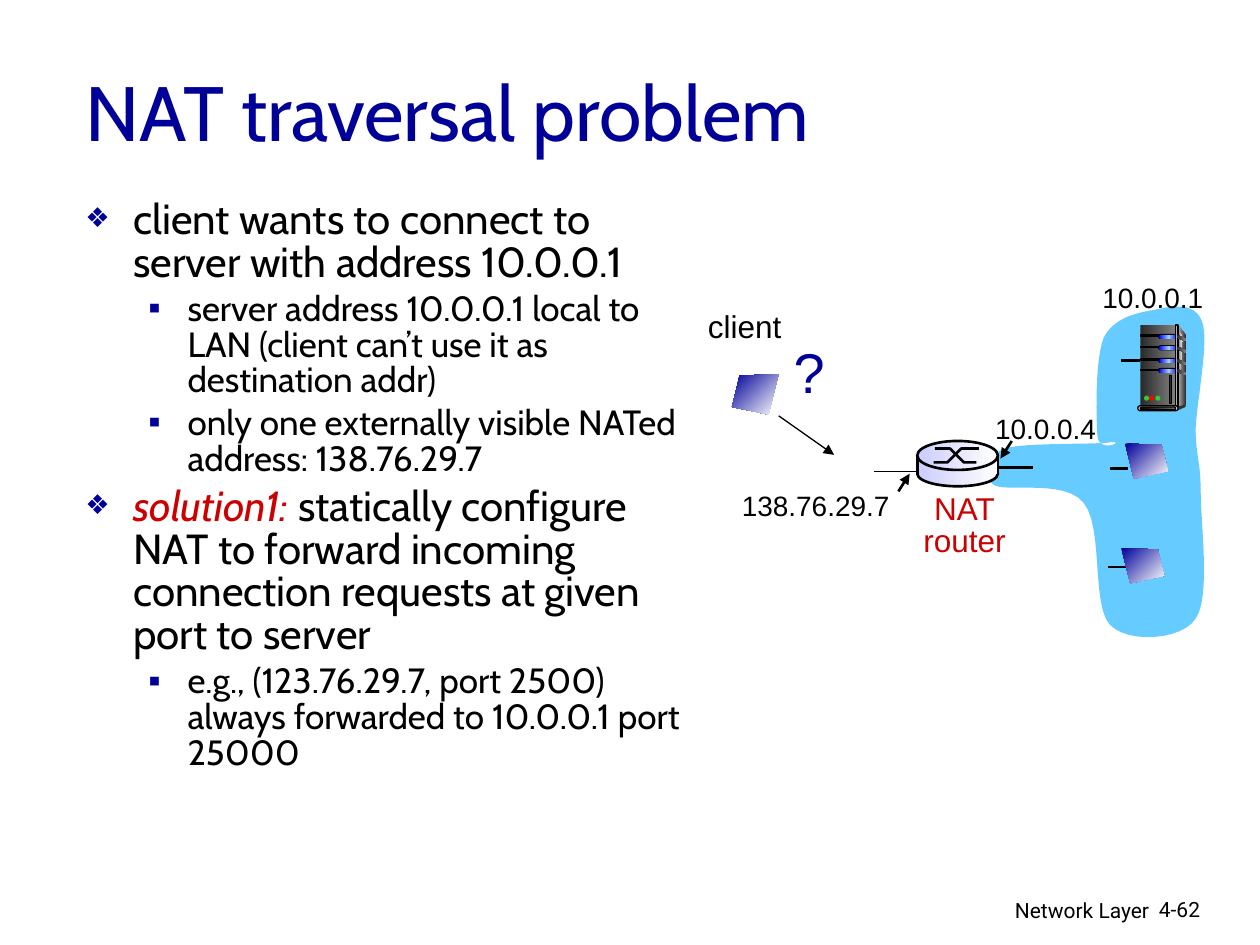
import pptx
import pptx.dml.color
import pptx.enum.shapes
import pptx.enum.text
import pptx.oxml
import pptx.oxml.ns
import pptx.util
import lxml.etree

COLUMNS, ROWS = 100, 75
BLACK, NAVY, RED, SKY = "000000", "000099", "CC0000", "66CCFF"
LILAC = ("CCCCFF", "FFFFFF")
SCREEN = (NAVY, "FFFFFF")
DARK_METAL = ("292929", "808080")
KINDS = pptx.enum.shapes.MSO_SHAPE
ALIGN = pptx.enum.text.PP_ALIGN


def color(value):
    return pptx.dml.color.RGBColor.from_string(value)


def add_element(parent, tag, **attributes):
    element = lxml.etree.SubElement(parent, pptx.oxml.ns.qn(tag))
    for name, value in attributes.items():
        element.set(name, str(value))
    return element


def curve_points(start, segments, steps=12):
    points = [start]
    for first, second, end in segments:
        origin = points[-1]
        for step in range(1, steps + 1):
            t = step / steps
            weights = ((1 - t) ** 3, 3 * t * (1 - t) ** 2, 3 * t * t * (1 - t), t ** 3)
            corners = (origin, first, second, end)
            points.append(tuple(sum(w * c[axis] for w, c in zip(weights, corners))
                                for axis in (0, 1)))
    return points


class SlideBuilder:
    def __init__(self, presentation):
        self.column = presentation.slide_width / COLUMNS
        self.row = presentation.slide_height / ROWS
        self.slide = presentation.slides.add_slide(presentation.slide_layouts[5])
        self.shapes = self.slide.shapes

    def place(self, *lengths):
        return [round(length * (self.row if index % 2 else self.column))
                for index, length in enumerate(lengths)]

    def style_font(self, font, size, fill, name):
        font.size = pptx.util.Pt(size)
        font.name = name
        font.color.rgb = color(fill)

    def title(self, text, area):
        shape = self.shapes.title
        shape.left, shape.top, shape.width, shape.height = self.place(*area)
        shape.text_frame.text = text
        shape.text_frame.vertical_anchor = pptx.enum.text.MSO_ANCHOR.MIDDLE
        paragraph = shape.text_frame.paragraphs[0]
        paragraph.alignment = ALIGN.LEFT
        self.style_font(paragraph.font, 44, NAVY, "Cabin")

    def label(self, lines, area, size=16, fill=BLACK, name="Arial",
              alignment=ALIGN.LEFT, spacing=1.0):
        frame = self.shapes.add_textbox(*self.place(*area)).text_frame
        frame.word_wrap = False
        frame.text = lines
        for paragraph in frame.paragraphs:
            paragraph.alignment = alignment
            paragraph.line_spacing = spacing
            self.style_font(paragraph.font, size, fill, name)

    def bullets(self, items, area):
        frame = self.shapes.add_textbox(*self.place(*area)).text_frame
        frame.word_wrap = True
        for index, (level, lead, text) in enumerate(items):
            paragraph = frame.add_paragraph() if index else frame.paragraphs[0]
            size, margin, hanging, mark = ((24, 0.38, 0.38, "❖"), (20, 0.81, 0.31, "▪"))[level]
            paragraph.level = level
            paragraph.line_spacing = 0.85
            paragraph.space_before = pptx.util.Pt(0.2 * size if index else 0)
            properties = paragraph._p.get_or_add_pPr()
            properties.set("marL", str(pptx.util.Inches(margin)))
            properties.set("indent", str(-pptx.util.Inches(hanging)))
            add_element(add_element(properties, "a:buClr"), "a:srgbClr", val=NAVY)
            if level == 0:
                add_element(properties, "a:buSzPct", val=65000)
            add_element(properties, "a:buFont", typeface="Arial")
            add_element(properties, "a:buChar", char=mark)
            self.style_font(paragraph.font, size, BLACK, "Cabin")
            if lead:
                run = paragraph.add_run()
                run.text = lead
                run.font.italic = True
                run.font.color.rgb = color(RED)
            paragraph.add_run().text = text

    def paint(self, shape, fill, line=None, angle=0):
        shape.shadow.inherit = False
        if fill is None:
            shape.fill.background()
        elif isinstance(fill, str):
            shape.fill.solid()
            shape.fill.fore_color.rgb = color(fill)
        else:
            shape.fill.gradient()
            shape.fill.gradient_angle = -angle % 360
            stops = shape._element.spPr.find(".//" + pptx.oxml.ns.qn("a:gsLst"))
            stops.clear()
            for index, value in enumerate(fill):
                stop = add_element(stops, "a:gs", pos=100000 * index // (len(fill) - 1))
                add_element(stop, "a:srgbClr", val=value)
        if line:
            shape.line.color.rgb = color(BLACK)
            shape.line.width = pptx.util.Pt(line)
        else:
            shape.line.fill.background()

    def shape(self, kind, area, fill, line=None):
        shape = self.shapes.add_shape(kind, *self.place(*area))
        if kind == KINDS.ROUNDED_RECTANGLE:
            shape.adjustments[0] = 0.5
        self.paint(shape, fill, line)

    def outline(self, points, fill=None, line=None, angle=0):
        start, *others = [self.place(*point) for point in points]
        builder = self.shapes.build_freeform(*start)
        builder.add_line_segments(others, close=fill is not None)
        self.paint(builder.convert_to_shape(), fill, line, angle)

    def line(self, ends, width=1.5, arrow=False):
        connector = self.shapes.add_connector(
            pptx.enum.shapes.MSO_CONNECTOR.STRAIGHT, *self.place(*ends))
        connector.line.color.rgb = color(BLACK)
        connector.line.width = pptx.util.Pt(width)
        properties = connector._element.spPr
        if arrow:
            add_element(properties.find(pptx.oxml.ns.qn("a:ln")), "a:tailEnd", type="triangle")
        add_element(properties, "a:effectLst")

    def router(self):
        self.shape(KINDS.OVAL, (72.8, 36.6, 6.4, 2), LILAC, 1.5)
        self.shape(KINDS.RECTANGLE, (72.8, 36.4, 6.4, 1.2), LILAC)
        self.shape(KINDS.OVAL, (72.8, 35, 6.4, 2.3), LILAC, 1.5)
        self.outline([(74.1, 36.7), (75.2, 36.7), (76.3, 35.6), (77.7, 35.6)], line=1.5)
        self.outline([(74.2, 35.6), (75.4, 35.6), (76.5, 36.7), (77.5, 36.7)], line=1.5)
        for side in (72.8, 79.2):
            self.line((side, 36.2, side, 37.7))

    def screen(self, left, top, corners):
        self.outline([(left + x, top + y) for x, y in corners], SCREEN, angle=45)

    def server(self):
        self.outline([(93.5, 25.8), (94.1, 26.6), (94.1, 32.1), (93.3, 32.4)],
                     ("DDDDDD", "333333"))
        self.shape(KINDS.RECTANGLE, (90.5, 25.8, 2.8, 6.5), DARK_METAL)
        self.outline([(93.5, 26.2), (93.9, 26.8), (93.6, 30), (93.5, 32.2)],
                     ("808080", "F8F8F8"))
        slots = (26.6, 27.5, 28.5, 29.3)
        for top in slots:
            self.shape(KINDS.RECTANGLE, (90.5, top, 1.6, 0.1), BLACK, 0.75)
            self.shape(KINDS.ROUNDED_RECTANGLE, (91.9, top - 0.1, 1.5, 0.4), BLACK)
            self.shape(KINDS.ROUNDED_RECTANGLE, (92, top, 1.5, 0.3),
                       ("0000FF", "99CCFF", "0000FF"))
        self.shape(KINDS.RECTANGLE, (93.3, 25.8, 0.2, 6.5), ("333333", "DDDDDD", "333333"), 0.75)
        for top in slots:
            self.outline([(93.5, top), (94.1, top + 0.3), (94.1, top + 0.5), (93.4, top + 0.2)],
                         DARK_METAL)
        self.outline([(93.4, 32.3), (93.4, 32.6), (94.1, 32.3), (94.1, 32.1)], "333333")
        self.shape(KINDS.ROUNDED_RECTANGLE, (90.3, 32.2, 3.2, 0.4), "DDDDDD", 0.75)
        self.shape(KINDS.ROUNDED_RECTANGLE, (90.5, 32.3, 2.8, 0.2), (BLACK, "808080"), 0.75)
        for left, light in ((90.8, "33CC33"), (91.2, "FF0000"), (91.7, "33CC33")):
            self.shape(KINDS.OVAL, (left, 31.4, 0.4, 0.4), light)
        self.shape(KINDS.RECTANGLE, (92.8, 29.8, 0.2, 2.2), "292929", 0.75)


def main():
    presentation = pptx.Presentation()
    presentation.slide_width = pptx.util.Inches(10)
    presentation.slide_height = pptx.util.Inches(7.5)
    builder = SlideBuilder(presentation)

    builder.title("NAT traversal problem", (5.8, 2.5, 85, 12.5))
    builder.bullets([
        (0, "", "client wants to connect to server with address 10.0.0.1"),
        (1, "", "server address 10.0.0.1 local to LAN (client can’t use it as destination addr)"),
        (1, "", "only one externally visible NATed address: 138.76.29.7"),
        (0, "solution1:", " statically configure NAT to forward incoming connection requests "
                          "at given port to server"),
        (1, "", "e.g., (123.76.29.7, port 2500) always forwarded to 10.0.0.1 port 25000"),
    ], (5.8, 15.4, 49.9, 56.4))
    builder.label("Network Layer", (60.5, 70.7, 31.7, 3.1), 12, name="Roboto",
                  alignment=ALIGN.RIGHT)
    builder.label("4-62", (91, 70.7, 7.4, 3), 12, name="Roboto")

    builder.outline(curve_points((79.7, 35.6), [
        ((81.3, 35.1), (87, 35.3), (88.2, 35.1)),
        ((89.4, 35), (87.2, 36), (87.1, 34.6)),
        ((87, 33.2), (86.9, 28.5), (87.6, 26.8)),
        ((88.4, 25.2), (90.3, 24.8), (91.6, 24.6)),
        ((92.9, 24.3), (94.8, 23.9), (95.4, 25.5)),
        ((96, 27), (95, 31.7), (94.9, 34)),
        ((94.9, 36.2), (95.3, 36.6), (95.3, 39.1)),
        ((95.3, 41.6), (96.1, 47.4), (94.9, 49.1)),
        ((93.8, 50.8), (89.6, 51.1), (88.1, 49.6)),
        ((86.6, 48), (87.6, 41.8), (86, 39.9)),
        ((84.5, 38), (79.9, 39.1), (78.9, 38.5)),
        ((77.8, 37.8), (78.3, 36.2), (79.7, 35.6)),
    ]), SKY)

    for ends in ((89, 28.6, 90.5, 28.6), (87.9, 45, 89.7, 45), (88.1, 37.2, 89.5, 37.2),
                 (79.1, 37.1, 82, 37.1)):
        builder.line(ends)
    builder.line((69.4, 37.4, 73.8, 37.4), 0.75)
    builder.line((80.3, 35, 79.4, 36.4), arrow=True)
    builder.line((71.3, 39, 72.2, 37.6), arrow=True)
    builder.line((61.8, 33, 66.2, 36.1), 0.75, arrow=True)

    builder.router()
    builder.screen(58.1, 29.7, [(3.7, 0), (0.6, 0.1), (0, 2.6), (2.9, 3.2)])
    for left, top in ((89.3, 35.2), (89, 43.5)):
        builder.screen(left, top, [(0, 0), (2.9, 0.1), (3.4, 2.2), (0.7, 2.8)])
    builder.server()

    builder.label("10.0.0.1", (86.5, 21.8, 10.3, 3.7))
    builder.label("10.0.0.4", (78, 32.2, 10.3, 3.7))
    builder.label("138.76.29.7", (57.9, 38.3, 14, 3.7))
    builder.label("client", (55.2, 23.9, 8.4, 4), 18)
    builder.label("?", (62, 26.3, 4.7, 6.3), 32, NAVY)
    builder.label("NAT\nrouter", (72.2, 38.8, 8.7, 6.1), 18, RED,
                  alignment=ALIGN.CENTER, spacing=0.85)

    presentation.save("out.pptx")


if __name__ == "__main__":
    main()
